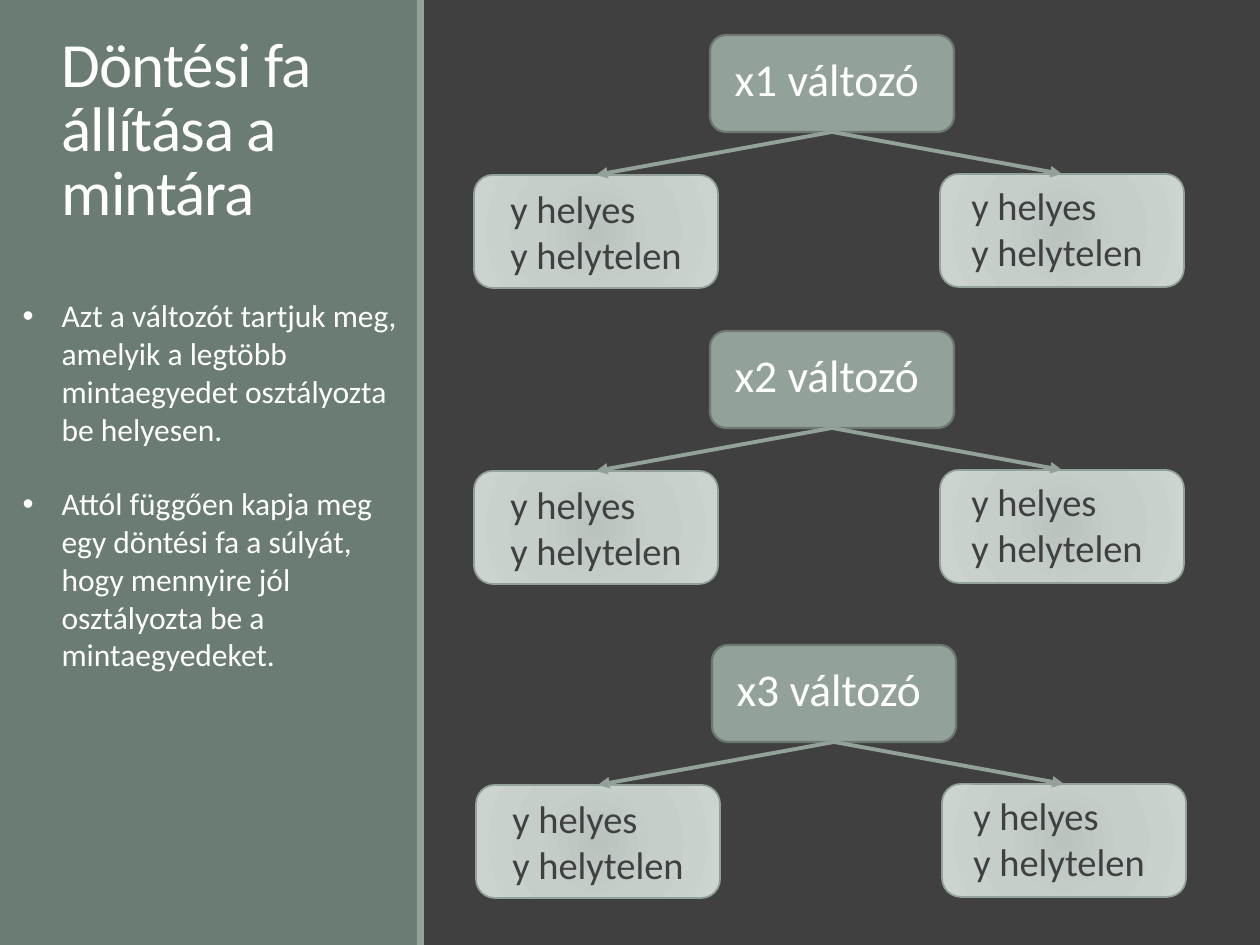
import lxml.etree
import pptx
import pptx.dml.color
import pptx.enum.shapes
import pptx.enum.text
import pptx.oxml
import pptx.oxml.ns
import pptx.util

EMU_PER_PX = 914400 / 126
FONT = "Calibri"
WHITE, DARK = "FFFFFF", "404040"
PANEL, SAGE, SAGE_EDGE = "6B7D72", "93A299", "6D7871"
LEAF_STOPS = [(0, "BAC3BE"), (45, "C6CEC9"), (100, "CCD4CF")]
RECTANGLE = pptx.enum.shapes.MSO_SHAPE.RECTANGLE
ROUNDED = pptx.enum.shapes.MSO_SHAPE.ROUNDED_RECTANGLE
LEFT = pptx.enum.text.PP_ALIGN.LEFT
CENTER = pptx.enum.text.PP_ALIGN.CENTER
BOTTOM_SITE, TOP_SITE = 2, 0


def px(length):
    return pptx.util.Emu(round(length * EMU_PER_PX))


def color(hex_string):
    return pptx.dml.color.RGBColor.from_string(hex_string)


def add_xml(parent, tag, **attributes):
    child = lxml.etree.SubElement(parent, pptx.oxml.ns.qn(tag))
    for name, value in attributes.items():
        child.set(name, str(value))
    return child


class SlideBuilder:
    def __init__(self, deck):
        self.page = deck.slides.add_slide(deck.slide_layouts[1])
        self.page.background.fill.solid()
        self.page.background.fill.fore_color.rgb = color(DARK)

    def style_runs(self, para, size, hex_string):
        for span in para.runs:
            span.font.name = FONT
            span.font.size = pptx.util.Pt(size)
            span.font.color.rgb = color(hex_string)

    def place(self, shape, area):
        shape.left, shape.top, shape.width, shape.height = map(px, area)

    def placeholder(self, index, area):
        """Move a template placeholder to its area, in front of what is drawn so far."""
        holder = self.page.placeholders[index]
        self.place(holder, area)
        tree = holder.element.getparent()
        tree.append(holder.element)
        holder.text_frame.word_wrap = True
        holder.text_frame.auto_size = pptx.enum.text.MSO_AUTO_SIZE.NONE
        return holder

    def title(self, text, area):
        frame = self.placeholder(0, area).text_frame
        frame.text = text
        frame.vertical_anchor = pptx.enum.text.MSO_ANCHOR.MIDDLE
        para = frame.paragraphs[0]
        para.alignment = LEFT
        para.line_spacing = 0.85
        self.style_runs(para, 36, WHITE)
        para.runs[0].font._element.set("spc", "-50")

    def bullets(self, items, area, indent, gap):
        frame = self.placeholder(1, area).text_frame
        frame.text = "\n".join(items)
        for number, para in enumerate(frame.paragraphs):
            properties = para._p.get_or_add_pPr()
            properties.set("marL", str(px(indent)))
            properties.set("indent", str(-px(indent)))
            add_xml(properties, "a:buFont", typeface="Arial")
            add_xml(properties, "a:buChar", char="•")
            para.space_before = pptx.util.Pt(gap if number else 0)
            self.style_runs(para, 18, WHITE)

    def shape(self, kind, area, fill, line=None, line_width=1, parent=None):
        """Draw a preset shape; fill is a hex string or a list of gradient stops."""
        shape = (parent or self.page).shapes.add_shape(kind, *map(px, area))
        shape.shadow.inherit = False
        if isinstance(fill, str):
            shape.fill.solid()
            shape.fill.fore_color.rgb = color(fill)
        else:
            self.radial_fill(shape, fill)
        if line:
            shape.line.color.rgb = color(line)
            shape.line.width = pptx.util.Pt(line_width)
        else:
            shape.line.fill.background()
        return shape

    def radial_fill(self, shape, stops):
        gradient = pptx.oxml.parse_xml(
            f'<a:gradFill {pptx.oxml.ns.nsdecls("a")} rotWithShape="1"/>')
        stop_list = add_xml(gradient, "a:gsLst")
        for percent, hex_string in stops:
            stop = add_xml(stop_list, "a:gs", pos=percent * 1000)
            add_xml(stop, "a:srgbClr", val=hex_string)
        circle = add_xml(gradient, "a:path", path="circle")
        add_xml(circle, "a:fillToRect", l=100000, t=100000, r=100000, b=100000)
        geometry = shape.element.spPr.find(pptx.oxml.ns.qn("a:prstGeom"))
        geometry.addnext(gradient)

    def label(self, text, area, size, hex_string, alignment, parent):
        box = parent.shapes.add_textbox(*map(px, area))
        frame = box.text_frame
        frame.word_wrap = True
        frame.auto_size = pptx.enum.text.MSO_AUTO_SIZE.SHAPE_TO_FIT_TEXT
        para = frame.paragraphs[0]
        para.text = text
        para.alignment = alignment
        self.style_runs(para, size, hex_string)

    def arrow(self, start, end, parent):
        """Join the bottom of one shape to the top of another."""
        arrow = parent.shapes.add_connector(
            pptx.enum.shapes.MSO_CONNECTOR.STRAIGHT, 0, 0, 0, 0)
        arrow.begin_connect(start, BOTTOM_SITE)
        arrow.end_connect(end, TOP_SITE)
        arrow.line.color.rgb = color(SAGE)
        arrow.line.width = pptx.util.Pt(2.25)
        add_xml(arrow.line._get_or_add_ln(), "a:tailEnd", type="triangle")
        add_xml(arrow.element.spPr, "a:effectLst")

    def tree(self, variable, left, top):
        """Draw a decision tree; left is its left leaf's edge, top its root's edge."""
        group = self.page.shapes.add_group_shape()
        root = self.shape(ROUNDED, (left + 236, top, 244, 97), SAGE,
                          SAGE_EDGE, 1.25, group)
        self.label(f"{variable} változó ", (left + 245, top + 10, 226, 62),
                   26, WHITE, CENTER, group)
        leaves = []
        for leaf_x, leaf_y, text_x, text_y, text_width in (
                (0, 140, 24, 144, 217), (466, 139, 485, 141, 251)):
            leaves.append(self.shape(
                ROUNDED, (left + leaf_x, top + leaf_y, 244, 113), LEAF_STOPS,
                SAGE, 1, group))
            self.label("y helyes\vy helytelen",
                       (left + text_x, top + text_y, text_width, 106),
                       22, DARK, LEFT, group)
        for leaf in leaves:
            self.arrow(root, leaf, group)


def main():
    deck = pptx.Presentation()
    deck.slide_width, deck.slide_height = px(1260), px(945)
    builder = SlideBuilder(deck)
    builder.shape(RECTANGLE, (0, 0, 418, 945), PANEL)
    builder.title("Döntési fa állítása a mintára", (49, 14, 319, 236))
    builder.shape(RECTANGLE, (417, 0, 7, 945), SAGE)
    builder.bullets([
        "Azt a változót tartjuk meg, amelyik a legtöbb mintaegyedet "
        "osztályozta be helyesen.",
        "Attól függően kapja meg egy döntési fa a súlyát, hogy mennyire jól "
        "osztályozta be a mintaegyedeket.",
    ], (10, 290, 400, 432), indent=39, gap=21)
    for variable, left, top in (("x1", 474, 35), ("x2", 474, 331), ("x3", 476, 645)):
        builder.tree(variable, left, top)
    deck.save("out.pptx")


if __name__ == "__main__":
    main()
